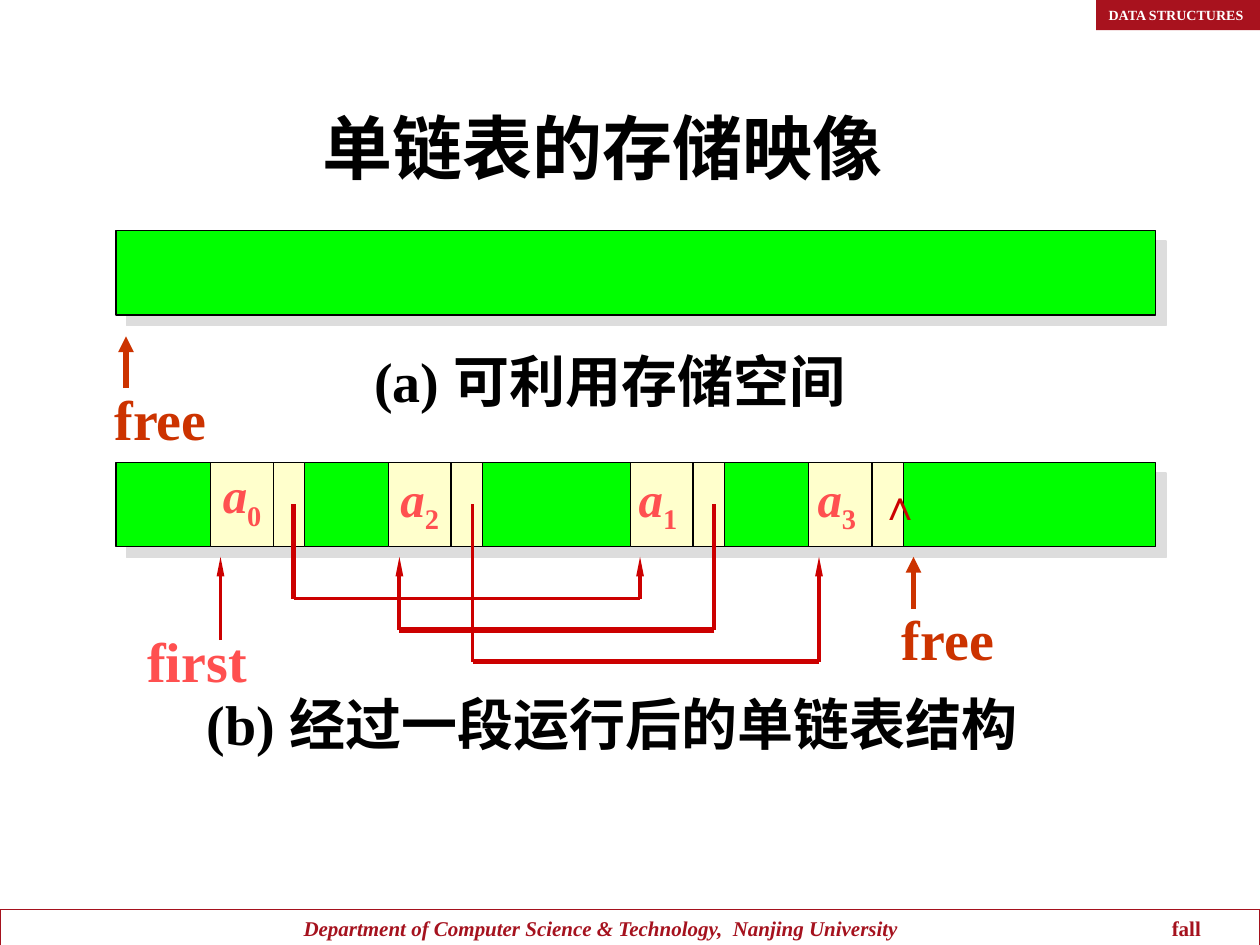
from typing import NamedTuple

from lxml.etree import SubElement
from pptx import Presentation
from pptx.dml.color import RGBColor
from pptx.enum.shapes import MSO_CONNECTOR, MSO_SHAPE
from pptx.enum.text import MSO_ANCHOR
from pptx.oxml.ns import qn
from pptx.util import Inches, Pt

LATIN, CJK = "Times New Roman", "Noto Sans CJK SC"
BLACK, WHITE, CRIMSON = "000000", "FFFFFF", "A5121E"
GREEN, CREAM = "00FF00", "FFFFCC"
RED, ORANGE, CORAL = "CC0000", "CC3300", "FF5050"
BAR_LEFT, BAR_WIDTH, BAR_HEIGHT = 0.92, 8.25, 0.67
FREE_TOP, LIST_TOP, TIP_Y = 1.83, 3.67, 4.42


class Label(NamedTuple):
    text: str
    x: float
    y: float
    w: float
    h: float
    size: int
    color: str
    wrap: bool = False
    font: str = LATIN
    inset: float = 0.1


class Node(NamedTuple):
    x: float
    index: str
    label_x: float
    label_y: float


class Link(NamedTuple):
    start_x: float
    end_x: float
    y: float
    stem_width: float
    run_width: float


LABELS = [
    Label("单链表的存储映像", 2.44, 0.77, 4.69, 0.79, 40, BLACK, inset=0.12),
    Label("(a) 可利用存储空间", 2.87, 2.7, 4.32, 0.64, 32, BLACK, wrap=True),
    Label("(b) 经过一段运行后的单链表结构", 1.54, 5.42, 7.12, 0.64, 32, BLACK, wrap=True),
    Label("free", 0.81, 3, 0.94, 0.64, 32, ORANGE),
    Label("free", 7.06, 4.75, 0.94, 0.64, 32, ORANGE),
    Label("first", 1.07, 4.92, 0.99, 0.64, 32, CORAL),
    Label("∧", 6.88, 3.75, 0.31, 0.5, 24, RED, font="Arial"),
]
NODES = [
    Node(1.67, "0", 1.67, 3.64),
    Node(3.08, "2", 3.08, 3.67),
    Node(5, "1", 4.97, 3.67),
    Node(6.42, "3", 6.39, 3.67),
]
LINKS = [
    Link(2.33, 5.08, 4.75, 3, 2.25),
    Link(5.67, 3.17, 5, 2.25, 3),
    Link(3.75, 6.5, 5.25, 2.25, 3),
]


def rgb(color: str) -> RGBColor:
    return RGBColor.from_string(color)


def style_run(r, size: int, color: str, font: str = LATIN, italic: bool = False) -> None:
    r.font.size = Pt(size)
    r.font.bold = True
    r.font.italic = italic
    r.font.color.rgb = rgb(color)
    r.font.name = font
    SubElement(r.font._element, qn("a:ea")).set("typeface", CJK)


def add_box(s, x: float, y: float, w: float, h: float, fill: str, line: str = "", width: float = 0.75):
    sp = s.shapes.add_shape(MSO_SHAPE.RECTANGLE, Inches(x), Inches(y), Inches(w), Inches(h))
    sp.shadow.inherit = False
    sp.fill.solid()
    sp.fill.fore_color.rgb = rgb(fill)
    if line:
        sp.line.color.rgb = rgb(line)
        sp.line.width = Pt(width)
    else:
        sp.line.fill.background()
    return sp


def add_bar(s, y: float) -> None:
    sp = add_box(s, BAR_LEFT, y, BAR_WIDTH, BAR_HEIGHT, GREEN, BLACK)
    effects = sp._element.spPr.find(qn("a:effectLst"))
    shadow = SubElement(effects, qn("a:outerShdw"), blurRad="0", dist=str(Pt(8.5)), dir="2700000")
    SubElement(shadow, qn("a:srgbClr"), val="DDDDDD")


def add_line(s, x1: float, y1: float, x2: float, y2: float, color: str, width: float, head=()) -> None:
    c = s.shapes.add_connector(MSO_CONNECTOR.STRAIGHT, Inches(x1), Inches(y1), Inches(x2), Inches(y2))
    c.line.color.rgb = rgb(color)
    c.line.width = Pt(width)
    if head:
        w, length = head
        SubElement(c.line._get_or_add_ln(), qn("a:tailEnd"), type="triangle", w=w, len=length)
    SubElement(c._element.spPr, qn("a:effectLst"))


def add_frame(s, x: float, y: float, w: float, h: float, wrap: bool, inset: float = 0.1):
    tf = s.shapes.add_textbox(Inches(x), Inches(y), Inches(w), Inches(h)).text_frame
    tf.word_wrap = wrap
    tf.margin_left = tf.margin_right = Inches(inset)
    tf.margin_top = tf.margin_bottom = Inches(inset / 2)
    return tf


def add_label(s, label: Label) -> None:
    tf = add_frame(s, label.x, label.y, label.w, label.h, label.wrap, label.inset)
    tf.text = label.text
    style_run(tf.paragraphs[0].runs[0], label.size, label.color, label.font)


def add_node(s, node: Node) -> None:
    add_box(s, node.x, LIST_TOP, 0.75, BAR_HEIGHT, CREAM, BLACK, 0.5)
    add_line(s, node.x + 0.5, LIST_TOP, node.x + 0.5, LIST_TOP + BAR_HEIGHT, BLACK, 0.75)
    p = add_frame(s, node.label_x, node.label_y, 0.53, 0.63, True).paragraphs[0]
    for text, italic in (("a", True), (node.index, False)):
        r = p.add_run()
        r.text = text
        style_run(r, 28, CORAL, italic=italic)
    p.runs[1].font._element.set("baseline", "-25000")


def add_link(s, link: Link) -> None:
    add_line(s, link.start_x, 4, link.start_x, link.y, RED, link.stem_width)
    add_line(s, link.start_x, link.y, link.end_x, link.y, RED, link.run_width)
    add_line(s, link.end_x, link.y, link.end_x, TIP_Y, RED, 2.25, ("sm", "lg"))


def add_banner(s) -> None:
    sp = add_box(s, 8.7, 0, 1.3, 0.24, "A8121E")
    tf = sp.text_frame
    tf.word_wrap = False
    tf.vertical_anchor = MSO_ANCHOR.MIDDLE
    tf.margin_top = tf.margin_bottom = 0
    tf.text = "DATA STRUCTURES"
    style_run(tf.paragraphs[0].runs[0], 8, WHITE)


def add_footer(s) -> None:
    text_x, term_x = 2.41, 9.3
    tf = add_box(s, 0, 7.22, 10, 0.3, WHITE, CRIMSON).text_frame
    tf.vertical_anchor = MSO_ANCHOR.MIDDLE
    tf.margin_left = Inches(text_x)
    tf.margin_top = tf.margin_bottom = 0
    p = tf.paragraphs[0]
    pPr = p._p.get_or_add_pPr()
    pPr.set("algn", "l")
    tabs = SubElement(pPr, qn("a:tabLst"))
    SubElement(tabs, qn("a:tab"), pos=str(Inches(term_x - text_x)), algn="l")
    department = "Department of Computer Science & Technology,  Nanjing University"
    for text, italic in ((department, True), ("\tfall", False)):
        r = p.add_run()
        r.text = text
        style_run(r, 12, CRIMSON, italic=italic)


def main() -> None:
    """Build the slide on how a singly linked list is laid out in memory."""
    prs = Presentation()
    prs.slide_width, prs.slide_height = Inches(10), Inches(7.5)
    s = prs.slides.add_slide(prs.slide_layouts[6])
    add_footer(s)
    add_banner(s)
    for y in (FREE_TOP, LIST_TOP):
        add_bar(s, y)
    for node in NODES:
        add_node(s, node)
    for label in LABELS:
        add_label(s, label)
    add_line(s, 1, 3.08, 1, 2.67, ORANGE, 3, ("med", "med"))
    add_line(s, 7.25, 4.83, 7.25, TIP_Y, ORANGE, 3, ("med", "med"))
    add_line(s, 1.75, 5.08, 1.75, TIP_Y, RED, 2.25, ("sm", "lg"))
    for link in LINKS:
        add_link(s, link)
    prs.save("out.pptx")


if __name__ == "__main__":
    main()
